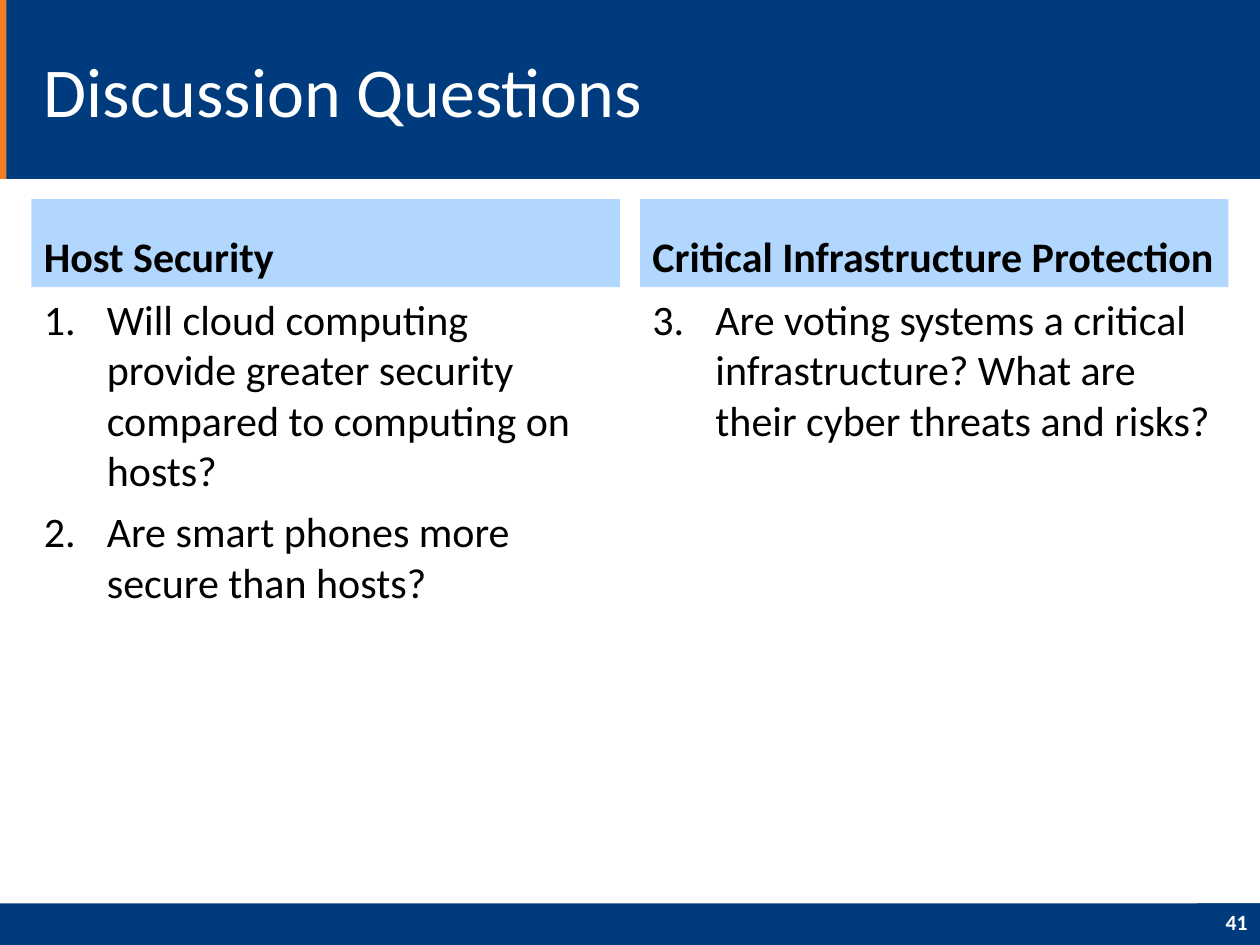
from lxml import etree
from pptx import Presentation
from pptx.dml.color import RGBColor
from pptx.enum import shapes, text
from pptx.oxml.ns import qn
from pptx.util import Inches, Pt

NAVY = RGBColor(0x00, 0x3C, 0x7D)
ORANGE = RGBColor(0xF4, 0x7F, 0x24)
PALE_BLUE = RGBColor(0xB2, 0xD7, 0xFF)
BLACK = RGBColor(0x00, 0x00, 0x00)
WHITE = RGBColor(0xFF, 0xFF, 0xFF)

WIDTH, HEIGHT = 10, 7.5
HEADER_HEIGHT, FOOTER_HEIGHT = 1.42, 0.33
COLUMN_LEFT, COLUMN_TOP, COLUMN_WIDTH, COLUMN_GAP = 0.25, 1.58, 4.67, 0.16
COLUMN_HEIGHT, HEADING_HEIGHT = 5.42, 0.7

COLUMNS = [
    ("Host Security", [
        "Will cloud computing provide greater security compared to computing on hosts?",
        "Are smart phones more secure than hosts?",
    ]),
    ("Critical Infrastructure Protection", [
        "Are voting systems a critical infrastructure? What are their cyber threats and risks?",
    ]),
]


def add_block(slide, box, color):
    """Add a plain filled rectangle."""
    shape = slide.shapes.add_shape(shapes.MSO_SHAPE.RECTANGLE, *map(Inches, box))
    shape.shadow.inherit = False
    shape.fill.solid()
    shape.fill.fore_color.rgb = color
    shape.line.fill.background()
    return shape


def number_paragraph(paragraph, start):
    """Give a paragraph a hanging automatic number."""
    properties = paragraph._p.get_or_add_pPr()
    indent = Inches(0.5)
    properties.set("marL", str(indent))
    properties.set("indent", str(-indent))
    etree.SubElement(properties, qn("a:buAutoNum"), type="arabicPeriod", startAt=str(start))


def write_text(shape, lines, size, color, bold=False, first_number=None,
               align=text.PP_ALIGN.LEFT, anchor=text.MSO_ANCHOR.TOP):
    """Fill a shape with equally formatted paragraphs."""
    frame = shape.text_frame
    frame.word_wrap = True
    frame.vertical_anchor = anchor
    font_format = {"name": "Calibri", "size": Pt(size), "bold": bold}
    for index, line in enumerate(lines):
        paragraph = frame.add_paragraph() if index else frame.paragraphs[0]
        paragraph.alignment = align
        if index:
            paragraph.space_before = Pt(6)
        if first_number is not None:
            number_paragraph(paragraph, first_number)
        run = paragraph.add_run()
        run.text = line
        for name, value in font_format.items():
            setattr(run.font, name, value)
        run.font.color.rgb = color


def add_header(slide, left, top, width, height):
    """Draw the title band with its accent edge."""
    add_block(slide, (left, top, width, height), NAVY)
    add_block(slide, (left, top, 0.05, height), ORANGE)
    title_box = (left + 0.25, top + 0.17, 7.33, 1.08)
    title = slide.shapes.add_textbox(*map(Inches, title_box))
    write_text(title, ["Discussion Questions"], 40, WHITE, anchor=text.MSO_ANCHOR.MIDDLE)


def add_column(slide, left, top, width, height, heading, questions, first_number):
    """Draw a heading bar above its numbered questions."""
    bar = add_block(slide, (left, top, width, HEADING_HEIGHT), PALE_BLUE)
    write_text(bar, [heading], 24, BLACK, bold=True, anchor=text.MSO_ANCHOR.BOTTOM)
    body_box = (left, top + HEADING_HEIGHT, width, height - HEADING_HEIGHT)
    body = slide.shapes.add_textbox(*map(Inches, body_box))
    body.text_frame.margin_right = Inches(0.13)
    write_text(body, questions, 24, BLACK, first_number=first_number)


def add_footer(slide, left, top, width, height):
    """Draw the bottom band with the slide number."""
    add_block(slide, (left, top, width, height), NAVY)
    number_width = 0.5
    number = add_block(slide, (left + width - number_width, top, number_width, height), NAVY)
    write_text(number, ["41"], 12.4, WHITE, bold=True,
               align=text.PP_ALIGN.RIGHT, anchor=text.MSO_ANCHOR.MIDDLE)
    number.text_frame.paragraphs[0].line_spacing = 0.8


def main():
    """Build and save the discussion slide."""
    presentation = Presentation()
    presentation.slide_width = Inches(WIDTH)
    presentation.slide_height = Inches(HEIGHT)
    slide = presentation.slides.add_slide(presentation.slide_layouts[6])
    add_header(slide, 0, 0, WIDTH, HEADER_HEIGHT)
    first_number = 1
    for index, (heading, questions) in enumerate(COLUMNS):
        left = COLUMN_LEFT + index * (COLUMN_WIDTH + COLUMN_GAP)
        add_column(slide, left, COLUMN_TOP, COLUMN_WIDTH, COLUMN_HEIGHT,
                   heading, questions, first_number)
        first_number += len(questions)
    add_footer(slide, 0, HEIGHT - FOOTER_HEIGHT, WIDTH, FOOTER_HEIGHT)
    presentation.save("out.pptx")


if __name__ == "__main__":
    main()
